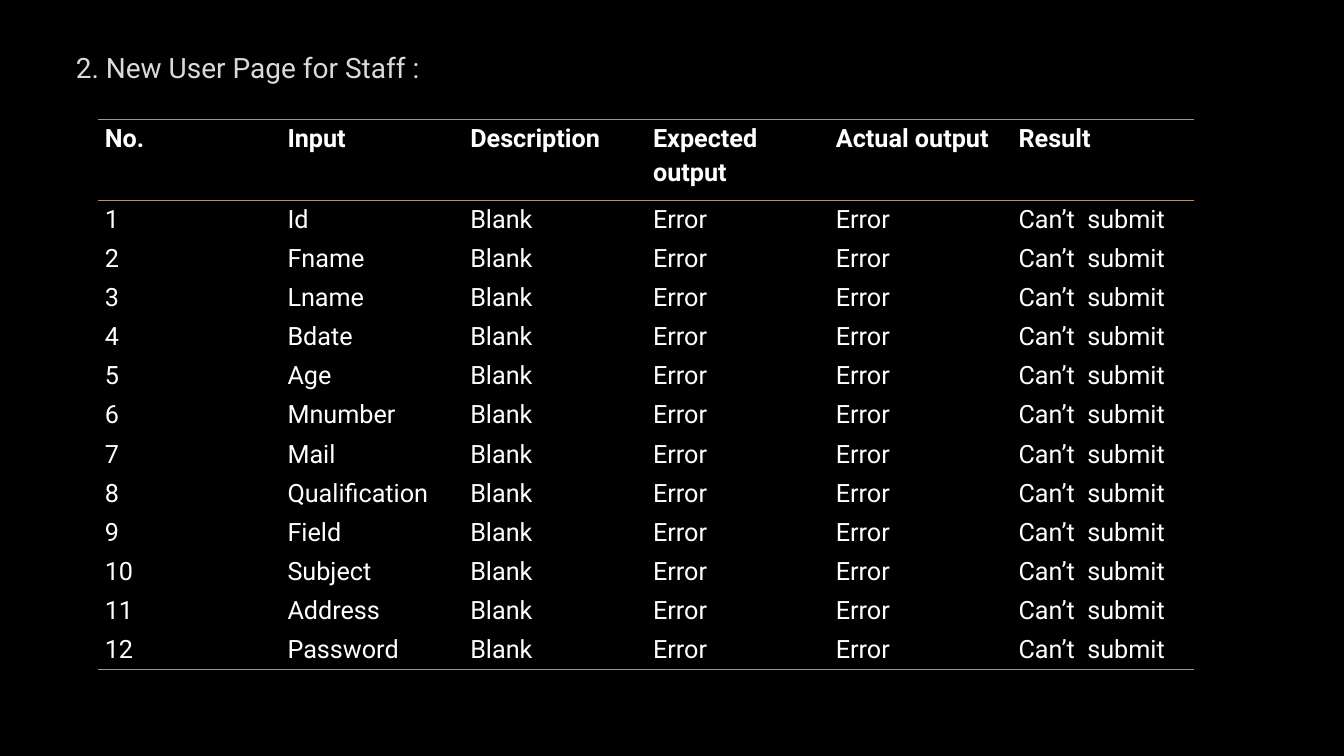
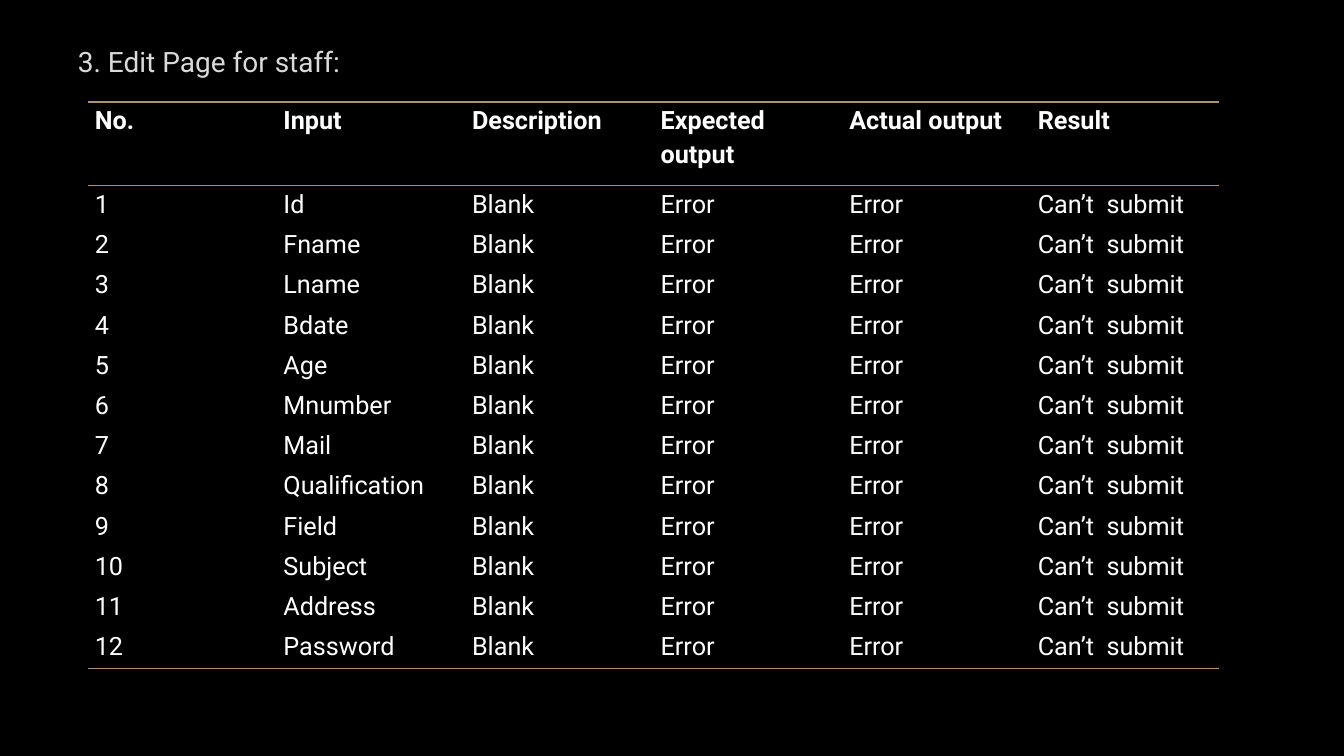
from lxml import etree
from pptx import Presentation
from pptx.dml.color import RGBColor
from pptx.enum import text
from pptx.oxml import ns
from pptx.util import Cm, Pt

HUES = {"back": "000000", "title": "DADADA", "text": "FFFFFF", "rule": "AD9277"}
FONT = "Roboto"
PLAIN = "{2D5ABB26-0587-4C30-8999-92F81FD0307C}"  # table style without grid

HEADS = ["No.", "Input", "Description", "Expected output", "Actual output", "Result"]
FIELDS = ["Id", "Fname", "Lname", "Bdate", "Age", "Mnumber", "Mail",
          "Qualification", "Field", "Subject", "Address", "Password"]
ROWS = [HEADS] + [[str(num), field, "Blank", "Error", "Error", "Can’t  submit"]
                  for num, field in enumerate(FIELDS, 1)]

# title, its left and top, then the table's left, top, width, height, head row (cm)
PAGES = [
    ("2. New User Page for Staff :", (1.55, 1.14), (2.46, 3.02, 27.64, 13.86, 2.04)),
    ("3. Edit Page for staff:", (1.6, 0.99), (2.21, 2.57, 28.52, 14.27, 2.11)),
]


def write(para, words, size, hue, bold=False):
    run = para.add_run()
    run.text = words
    run.font.name = FONT
    run.font.size = Pt(size)
    run.font.bold = bold
    run.font.color.rgb = RGBColor.from_string(HUES[hue])


def rule(cell, side):
    """Draw a 1 pt line on one side of a cell: T or B."""
    line = etree.SubElement(cell._tc.get_or_add_tcPr(), ns.qn("a:ln" + side), w=str(Pt(1)))
    fill = etree.SubElement(line, ns.qn("a:solidFill"))
    etree.SubElement(fill, ns.qn("a:srgbClr"), val=HUES["rule"])


prs = Presentation()
prs.slide_width, prs.slide_height = Cm(33.87), Cm(19.05)
back = prs.slide_master.background.fill
back.solid()
back.fore_color.rgb = RGBColor.from_string(HUES["back"])

for name, spot, (left, top, width, height, head) in PAGES:
    slide = prs.slides.add_slide(prs.slide_layouts[5])

    title = slide.shapes.title
    title.left, title.top = Cm(spot[0]), Cm(spot[1])
    title.width, title.height = Cm(30.96), Cm(1.4)
    frame = title.text_frame
    frame.auto_size = text.MSO_AUTO_SIZE.NONE
    frame.vertical_anchor = text.MSO_ANCHOR.TOP
    para = frame.paragraphs[0]
    para.alignment = text.PP_ALIGN.LEFT
    frame.margin_left = Cm(0.36)
    write(para, name, 20, "title")

    table = slide.shapes.add_table(len(ROWS), len(HEADS), Cm(left), Cm(top),
                                   Cm(width), Cm(height)).table
    table.first_row = True
    table.horz_banding = False
    table._tbl.tblPr.find(ns.qn("a:tableStyleId")).text = PLAIN
    for col in table.columns:
        col.width = Cm(width / len(HEADS))

    for i, row in enumerate(ROWS):
        table.rows[i].height = Cm(head if i == 0 else (height - head) / len(FIELDS))
        for j, words in enumerate(row):
            cell = table.cell(i, j)
            cell.margin_left = cell.margin_right = Cm(0.18)
            cell.margin_top = cell.margin_bottom = 0
            if i == 0:
                rule(cell, "T")
            if i in (0, len(FIELDS)):
                rule(cell, "B")
            cell.fill.background()
            para = cell.text_frame.paragraphs[0]
            para.line_spacing = 1.15
            write(para, words, 18, "text", bold=i == 0)

prs.save("out.pptx")
